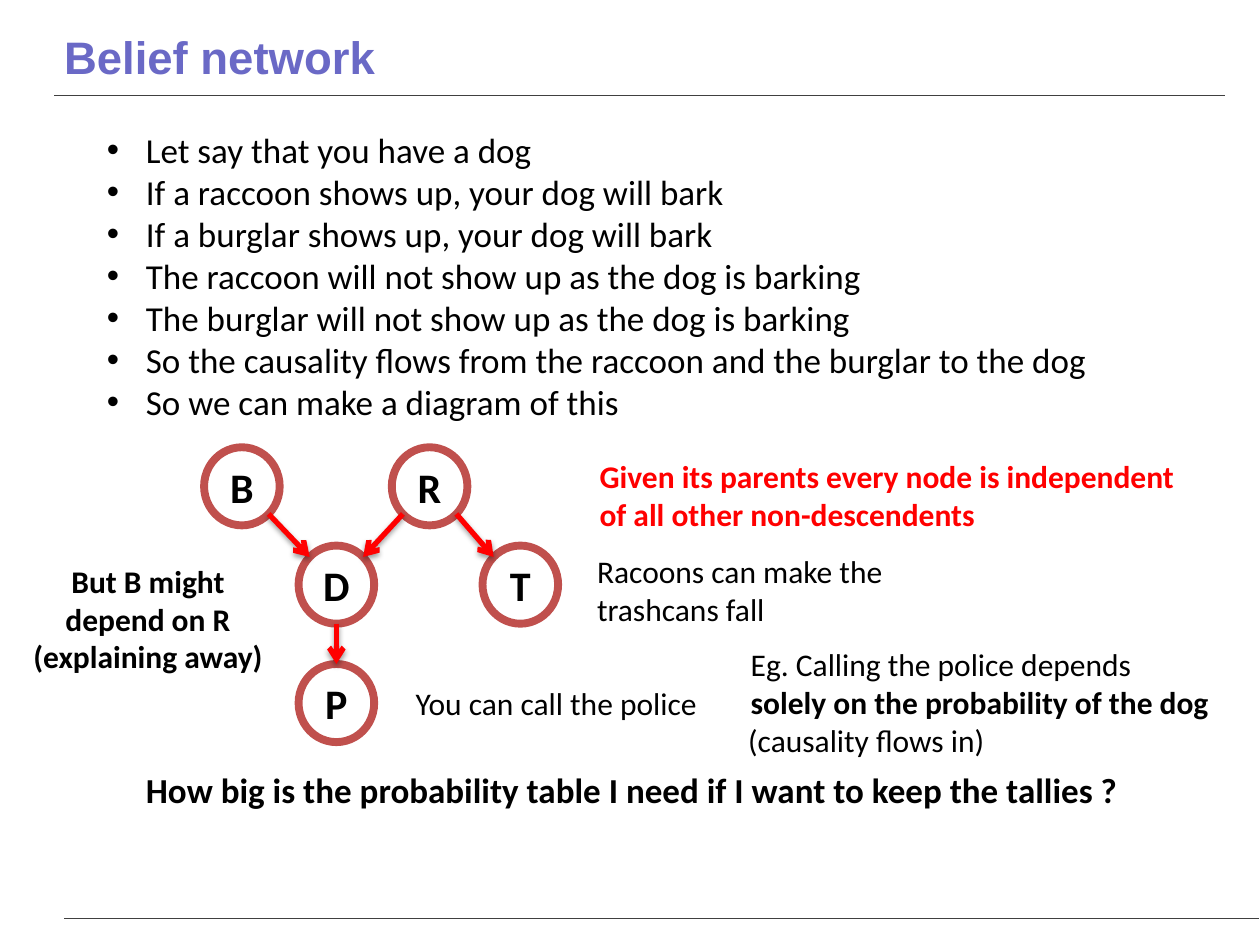
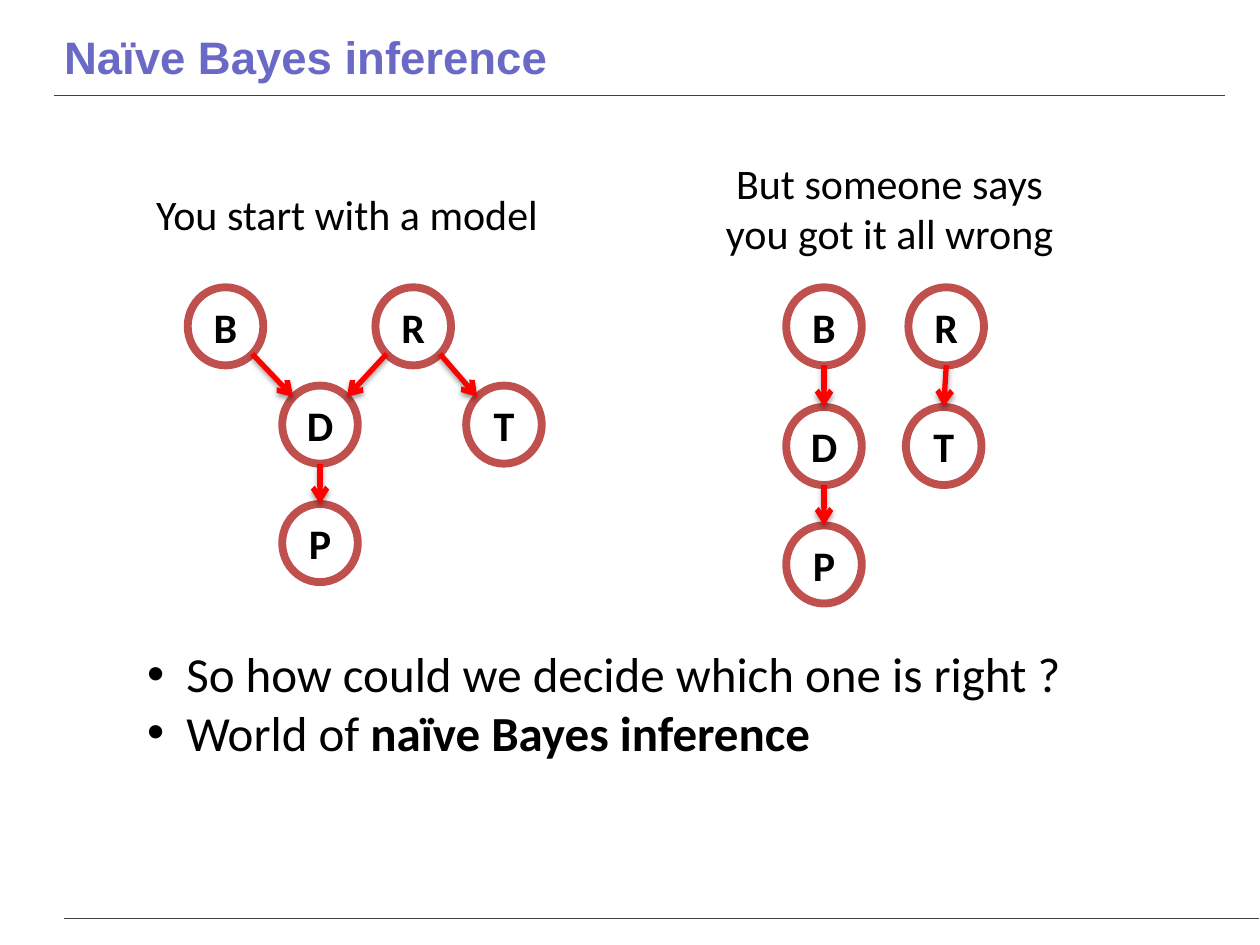
from lxml import etree
from math import sqrt

from pptx import Presentation
from pptx.dml.color import RGBColor
from pptx.enum.shapes import MSO_CONNECTOR, MSO_SHAPE
from pptx.enum.text import MSO_ANCHOR, MSO_AUTO_SIZE, PP_ALIGN
from pptx.oxml.ns import qn
from pptx.util import Inches, Pt

STRAIGHT = MSO_CONNECTOR.STRAIGHT
OVAL = MSO_SHAPE.OVAL
MIDDLE = MSO_ANCHOR.MIDDLE
FIT_SHAPE = MSO_AUTO_SIZE.SHAPE_TO_FIT_TEXT
LEFT, CENTER = PP_ALIGN.LEFT, PP_ALIGN.CENTER

BLACK, WHITE, RED = "000000", "FFFFFF", "FF0000"
TITLE_COLOR, RULE_COLOR, NODE_COLOR = "6A69C6", "404040", "C0504D"
TITLE_FONT, BODY_FONT = "Arial", "Calibri"

NODE_WIDTH, NODE_HEIGHT = 0.6, 0.62
DIAGONAL = sqrt(0.5)
OVAL_SITES = {
    "top": (0, 0, -1),
    "top left": (1, -DIAGONAL, -DIAGONAL),
    "bottom left": (3, -DIAGONAL, DIAGONAL),
    "bottom": (4, 0, 1),
    "bottom right": (5, DIAGONAL, DIAGONAL),
    "top right": (7, DIAGONAL, -DIAGONAL),
}

MODEL_NODES = {"B": (0, 0), "R": (1.49, 0), "D": (0.75, 0.78),
               "P": (0.75, 1.72), "T": (2.21, 0.78)}
MODEL_ARROWS = [("B", "bottom right", "D", "top left"),
                ("R", "bottom left", "D", "top right"),
                ("R", "bottom right", "T", "top left"),
                ("D", "bottom", "P", "top")]
RIVAL_NODES = {"B": (0, 0), "R": (0.97, 0), "D": (0, 0.95),
               "P": (0, 1.89), "T": (0.95, 0.95)}
RIVAL_ARROWS = [(start, "bottom", end, "top") for start, end in ("BD", "RT", "DP")]


def color(value):
    """Return the colour of a hex string."""
    return RGBColor.from_string(value)


def add_xml(parent, tag, **attributes):
    """Append an element with the given attributes and return it."""
    return etree.SubElement(
        parent, qn(tag), {name: str(value) for name, value in attributes.items()})


class Deck:
    """Hold the shared style and the current slide."""

    def __init__(self):
        """Start an empty presentation."""
        self.presentation = Presentation()
        self.presentation.slide_width = Inches(10)
        self.presentation.slide_height = Inches(7.5)
        self.slide = None

    def add_slide(self, title):
        """Add a blank slide with its rules and title."""
        layout = self.presentation.slide_layouts[6]
        self.slide = self.presentation.slides.add_slide(layout)
        self.line((0.43, 0.76), (9.72, 0.76), RULE_COLOR, 0.5)
        self.line((0.51, 7.29), (9.99, 7.29), RULE_COLOR, 1)
        box = self.text(0.41, 0.09, 8.52, 0.72, [f"**{title}"], 26, TITLE_COLOR,
                        font=TITLE_FONT, wrap=True)
        box.text_frame.auto_size = MSO_AUTO_SIZE.NONE
        box.text_frame.vertical_anchor = MIDDLE

    def line(self, start, end, line_color, width):
        """Draw a straight line without a theme shadow."""
        points = [Inches(value) for value in (*start, *end)]
        connector = self.slide.shapes.add_connector(STRAIGHT, *points)
        connector.line.color.rgb = color(line_color)
        connector.line.width = Pt(width)
        add_xml(connector.element.spPr, "a:effectLst")
        return connector

    def text(self, left, top, width, height, lines, size, text_color=BLACK,
             font=BODY_FONT, align=LEFT, wrap=False, bullets=False):
        """Add a text box where a pair of asterisks switches bold on or off."""
        box = self.slide.shapes.add_textbox(
            Inches(left), Inches(top), Inches(width), Inches(height))
        frame = box.text_frame
        frame.word_wrap = wrap
        frame.auto_size = FIT_SHAPE
        for index, line in enumerate(lines):
            paragraph = frame.add_paragraph() if index else frame.paragraphs[0]
            paragraph.alignment = align
            if bullets:
                self.bullet(paragraph)
            for position, part in enumerate(line.split("**")):
                if part:
                    run = paragraph.add_run()
                    run.text = part
                    self.format_run(run, size, text_color, position % 2 == 1, font)
        return box

    def bullet(self, paragraph):
        """Give a paragraph a hanging round bullet."""
        properties = paragraph._p.get_or_add_pPr()
        properties.set("marL", str(Inches(0.31)))
        properties.set("indent", str(-Inches(0.31)))
        add_xml(properties, "a:buFont", typeface="Arial")
        add_xml(properties, "a:buChar", char="•")

    def format_run(self, run, size, text_color, bold, font=BODY_FONT):
        """Set the font of a run."""
        run.font.name = font
        run.font.size = Pt(size)
        run.font.bold = bold
        run.font.color.rgb = color(text_color)

    def node(self, letter, left, top):
        """Draw a ringed network node."""
        shape = self.slide.shapes.add_shape(
            OVAL, Inches(left), Inches(top), Inches(NODE_WIDTH), Inches(NODE_HEIGHT))
        shape.shadow.inherit = False
        shape.fill.solid()
        shape.fill.fore_color.rgb = color(WHITE)
        shape.line.color.rgb = color(NODE_COLOR)
        shape.line.width = Pt(4.5)
        shape.text_frame.text = letter
        shape.text_frame.vertical_anchor = MIDDLE
        paragraph = shape.text_frame.paragraphs[0]
        paragraph.alignment = CENTER
        self.format_run(paragraph.runs[0], 24, BLACK, True)
        return shape

    def arrow(self, start, start_site, end, end_site):
        """Join two nodes with a shadowed red arrow."""
        points = []
        for node, site in ((start, start_site), (end, end_site)):
            _, across, down = OVAL_SITES[site]
            points.append((node.left.inches + NODE_WIDTH / 2 * (1 + across),
                           node.top.inches + NODE_HEIGHT / 2 * (1 + down)))
        connector = self.line(*points, RED, 3)
        joints = connector.element.nvCxnSpPr.cNvCxnSpPr
        add_xml(joints, "a:stCxn", id=start.shape_id, idx=OVAL_SITES[start_site][0])
        add_xml(joints, "a:endCxn", id=end.shape_id, idx=OVAL_SITES[end_site][0])
        properties = connector.element.spPr
        add_xml(properties.find(qn("a:ln")), "a:tailEnd", type="arrow")
        shadow = add_xml(properties.find(qn("a:effectLst")), "a:outerShdw",
                         blurRad=Pt(3.1), dist=Pt(1.6), dir=5400000, rotWithShape=0)
        shade = add_xml(shadow, "a:srgbClr", val=BLACK)
        add_xml(shade, "a:alpha", val=38000)

    def network(self, left, top, places, arrows):
        """Draw a belief network from node offsets and arrows."""
        nodes = {letter: self.node(letter, left + across, top + down)
                 for letter, (across, down) in places.items()}
        for start, start_site, end, end_site in arrows:
            self.arrow(nodes[start], start_site, nodes[end], end_site)


def add_belief_network(deck):
    """Build the belief network slide."""
    deck.add_slide("Belief network")
    deck.text(0.75, 0.97, 8.06, 2.46, [
        "Let say that you have a dog",
        "If a raccoon shows up, your dog will bark",
        "If a burglar shows up, your dog will bark",
        "The raccoon will not show up as the dog is barking",
        "The burglar will not show up as the dog is barking",
        "So the causality flows from the raccoon and the burglar to the dog",
        "So we can make a diagram of this",
    ], 20, bullets=True)
    deck.network(1.62, 3.55, MODEL_NODES, MODEL_ARROWS)
    deck.text(3.2, 5.38, 2.48, 0.4, ["You can call the police"], 18)
    deck.text(4.64, 4.33, 2.5, 0.71, ["Racoons can make the", "trashcans fall"], 18)
    deck.text(1.06, 6.05, 8, 0.44, [
        "**How big is the probability table I need if I want to keep the tallies ?"], 20)
    deck.text(4.66, 3.58, 4.82, 0.71, [
        "**Given its parents every node is independent",
        "**of all other non-descendents"], 18, RED)
    deck.text(5.84, 5.67, 2.1, 0.4, ["(causality flows in)"], 18)
    deck.text(5.86, 5.07, 3.9, 0.71, [
        "Eg. Calling the police depends",
        "**solely on the probability of the dog"], 18)
    deck.text(0.1, 4.41, 2.15, 1.01, ["**But B might depend on R (explaining away)"],
              18, align=CENTER, wrap=True)


def add_bayes_inference(deck):
    """Build the naïve Bayes inference slide."""
    deck.add_slide("Naïve Bayes inference")
    deck.text(1.14, 1.45, 3.3, 0.5, ["You start with a model"], 24)
    deck.network(1.49, 2.28, MODEL_NODES, MODEL_ARROWS)
    deck.text(5.52, 1.2, 3.08, 0.91, ["But someone says you got it all wrong"],
              24, align=CENTER, wrap=True)
    deck.network(6.24, 2.28, RIVAL_NODES, RIVAL_ARROWS)
    deck.text(1.07, 5.06, 7.52, 1.04, [
        "So how could we decide which one is right ?",
        "World of **naïve Bayes inference"], 28, bullets=True)


def main():
    """Build and save the presentation."""
    deck = Deck()
    add_belief_network(deck)
    add_bayes_inference(deck)
    deck.presentation.save("out.pptx")


if __name__ == "__main__":
    main()
